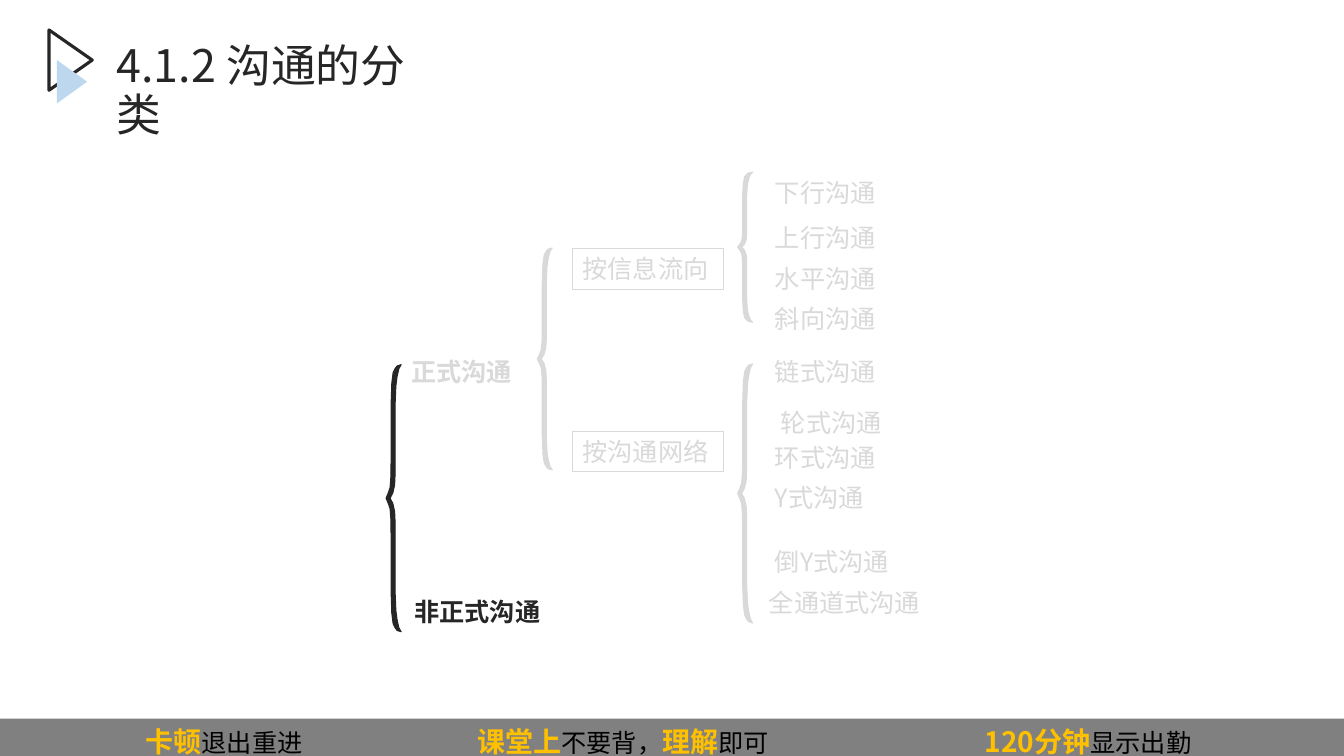
from dataclasses import dataclass

from lxml.etree import SubElement
from pptx import Presentation
from pptx.dml.color import RGBColor
from pptx.enum.shapes import MSO_SHAPE
from pptx.enum.text import MSO_ANCHOR, MSO_AUTO_SIZE, PP_ALIGN
from pptx.oxml.ns import qn
from pptx.util import Cm, Pt


@dataclass(frozen=True)
class Theme:
    font: str = "Noto Sans CJK SC"
    ink: RGBColor = RGBColor(0x26, 0x26, 0x26)
    faded: RGBColor = RGBColor(0xD9, 0xD9, 0xD9)
    sky: RGBColor = RGBColor(0xBD, 0xD7, 0xEE)
    bar: RGBColor = RGBColor(0x80, 0x80, 0x80)
    gold: RGBColor = RGBColor(0xFF, 0xC0, 0x00)
    black: RGBColor = RGBColor(0, 0, 0)
    title: Pt = Pt(32)
    strong: Pt = Pt(20)
    body: Pt = Pt(18)


theme = Theme()
prs = Presentation()
prs.slide_width, prs.slide_height = Cm(33.87), Cm(19.05)
s = prs.slides.add_slide(prs.slide_layouts[6])


def paint(sp, fill=None, line=None, weight=0.75):
    sp.shadow.inherit = False
    if fill is None:
        sp.fill.background()
    else:
        sp.fill.solid()
        sp.fill.fore_color.rgb = fill
    if line is None:
        sp.line.fill.background()
    else:
        sp.line.color.rgb = line
        sp.line.width = Pt(weight)


def write(sp, text, color, size=theme.body, bold=False):
    """Put one left-aligned paragraph into a shape and return it."""
    tf = sp.text_frame
    tf.word_wrap = True
    tf.vertical_anchor = MSO_ANCHOR.TOP
    p = tf.paragraphs[0]
    p.alignment = PP_ALIGN.LEFT
    r = p.add_run()
    r.text = text
    p.font.name, p.font.size, p.font.bold = theme.font, size, bold
    p.font.color.rgb = color
    # East Asian glyphs take their typeface from the run
    SubElement(r.font._element, qn("a:ea"), typeface=theme.font)
    r.font.name, r.font.size, r.font.bold = theme.font, size, bold
    r.font.color.rgb = color
    return p


# Title marker
for left, top, width, height, fill, line in [
    (1.02, 0.97, 1.52, 1.09, None, theme.ink),
    (1.27, 1.68, 1.09, 0.76, theme.sky, None),
]:
    sp = s.shapes.add_shape(MSO_SHAPE.ISOSCELES_TRIANGLE, Cm(left), Cm(top), Cm(width), Cm(height))
    sp.rotation = 90
    paint(sp, fill, line, 2.25)

# Footer: three reminders on tab stops
bar = s.shapes.add_shape(MSO_SHAPE.RECTANGLE, Cm(-0.03), Cm(18.11), Cm(33.9), Cm(1.12))
paint(bar, theme.bar)
tf = bar.text_frame
tf.word_wrap = True
tf.margin_left = 0
tf.vertical_anchor = MSO_ANCHOR.MIDDLE
p = tf.paragraphs[0]
p.alignment = PP_ALIGN.LEFT
tabs = SubElement(p._p.get_or_add_pPr(), qn("a:tabLst"))
for stop in (3.7, 12.06, 24.85):
    SubElement(tabs, qn("a:tab"), pos=str(Cm(stop)), algn="l")
for text, strong in [
    ("\t卡顿", True), ("退出重进", False),
    ("\t课堂上", True), ("不要背，", False), ("理解", True), ("即可", False),
    ("\t120分钟", True), ("显示出勤", False),
]:
    r = p.add_run()
    r.text = text
    r.font.name, r.font.bold = theme.font, strong
    r.font.size = theme.strong if strong else theme.body
    r.font.color.rgb = theme.gold if strong else theme.black
    SubElement(r.font._element, qn("a:ea"), typeface=theme.font)

# Braces: upper half in unit coordinates, lower half mirrored
outer = [(1, 0), (0.73, 0.005), (0.6, 0.015), (0.47, 0.03), (0.38, 0.07), (0.33, 0.16),
         (0.33, 0.37), (0.32, 0.42), (0.27, 0.46), (0.15, 0.48), (0, 0.5)]
inner = [(0.27, 0.5), (0.45, 0.48), (0.57, 0.45), (0.6, 0.41), (0.6, 0.35), (0.6, 0.15),
         (0.65, 0.08), (0.73, 0.045), (0.85, 0.015), (1, 0)]
lower = [(x, 1 - y) for x, y in outer[::-1] + inner[::-1]]
outline = outer + lower + inner
brace_width = 0.38
for left, top, height, color in [
    (9.73, 9.19, 6.73, theme.ink),
    (13.54, 6.25, 5.59, theme.faded),
    (18.59, 4.34, 3.78, theme.faded),
    (18.59, 9.17, 6.53, theme.faded),
]:
    points = [(Cm(left + brace_width * x), Cm(top + height * y)) for x, y in outline]
    builder = s.shapes.build_freeform(*points[0])
    builder.add_line_segments(points[1:], close=True)
    paint(builder.convert_to_shape(), color, color)

# Boxed criteria
for text, top in [("按信息流向", 6.27), ("按沟通网络", 10.87)]:
    sp = s.shapes.add_shape(MSO_SHAPE.RECTANGLE, Cm(14.43), Cm(top), Cm(3.81), Cm(1.02))
    paint(sp, line=theme.faded)
    write(sp, text, theme.faded)

# Labels
for text, left, top, width, color, bold in [
    ("正式沟通", 10.11, 8.86, 4.32, theme.faded, True),
    ("非正式沟通", 10.19, 14.91, 6.4, theme.ink, True),
    ("下行沟通", 19.28, 4.34, 4.32, theme.faded, False),
    ("上行沟通", 19.28, 5.49, 4.32, theme.faded, False),
    ("水平沟通", 19.28, 6.5, 4.32, theme.faded, False),
    ("斜向沟通", 19.28, 7.52, 4.32, theme.faded, False),
    ("链式沟通", 19.28, 8.86, 4.37, theme.faded, False),
    ("轮式沟通", 19.43, 10.13, 4.37, theme.faded, False),
    ("环式沟通", 19.28, 11.02, 4.37, theme.faded, False),
    ("Y式沟通", 19.28, 12.04, 5.05, theme.faded, False),
    ("倒Y式沟通", 19.28, 13.64, 5, theme.faded, False),
    ("全通道式沟通", 19.13, 14.68, 5, theme.faded, False),
]:
    sp = s.shapes.add_textbox(Cm(left), Cm(top), Cm(width), Cm(1.02))
    write(sp, text, color, bold=bold)
    sp.text_frame.auto_size = MSO_AUTO_SIZE.SHAPE_TO_FIT_TEXT

title = s.shapes.add_textbox(Cm(2.69), Cm(0.99), Cm(8.43), Cm(1.47))
write(title, "4.1.2 沟通的分类", theme.ink, theme.title).line_spacing = 0.9

prs.save("out.pptx")
